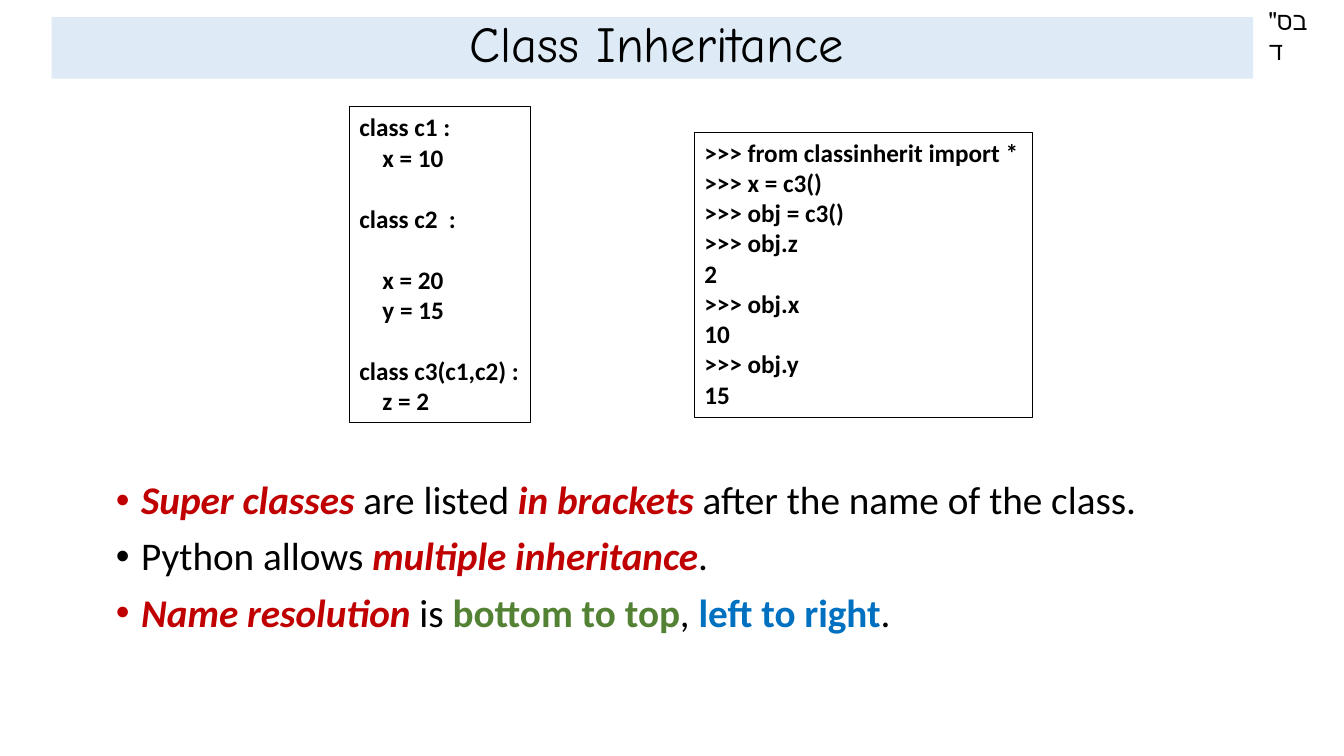
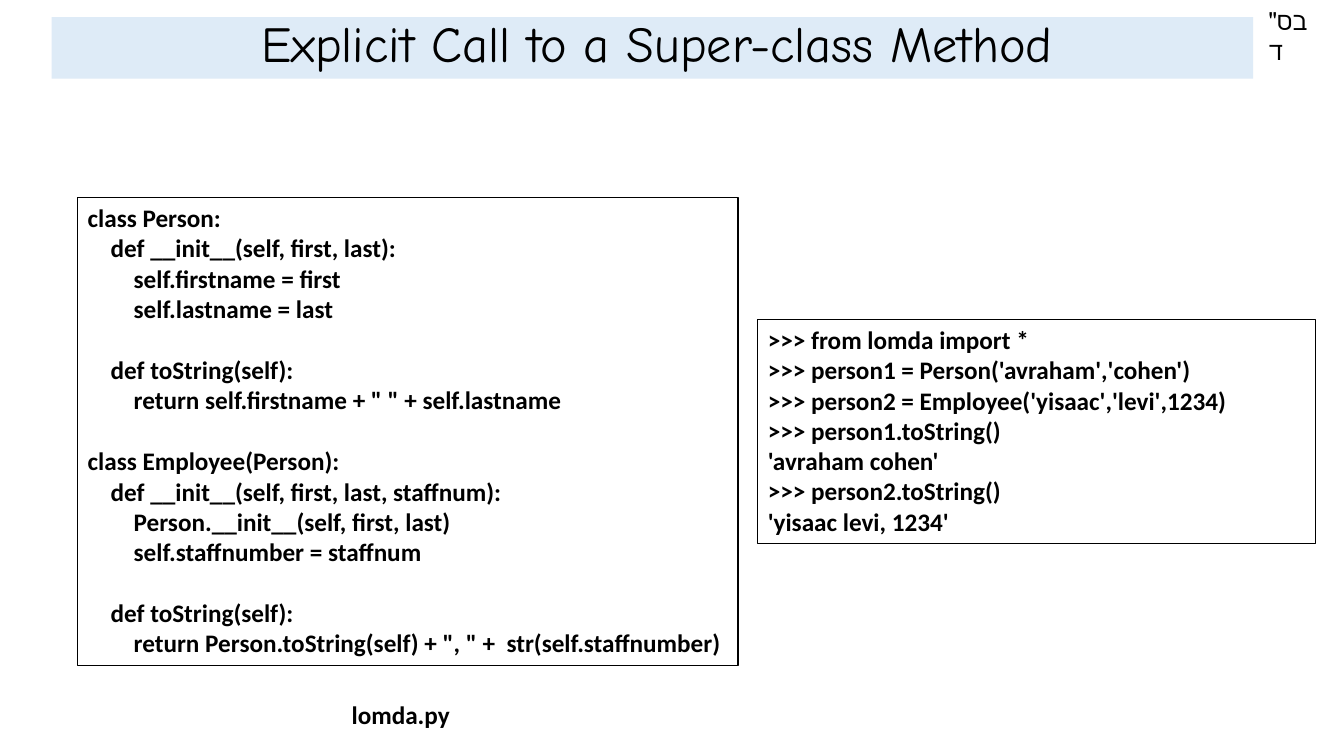
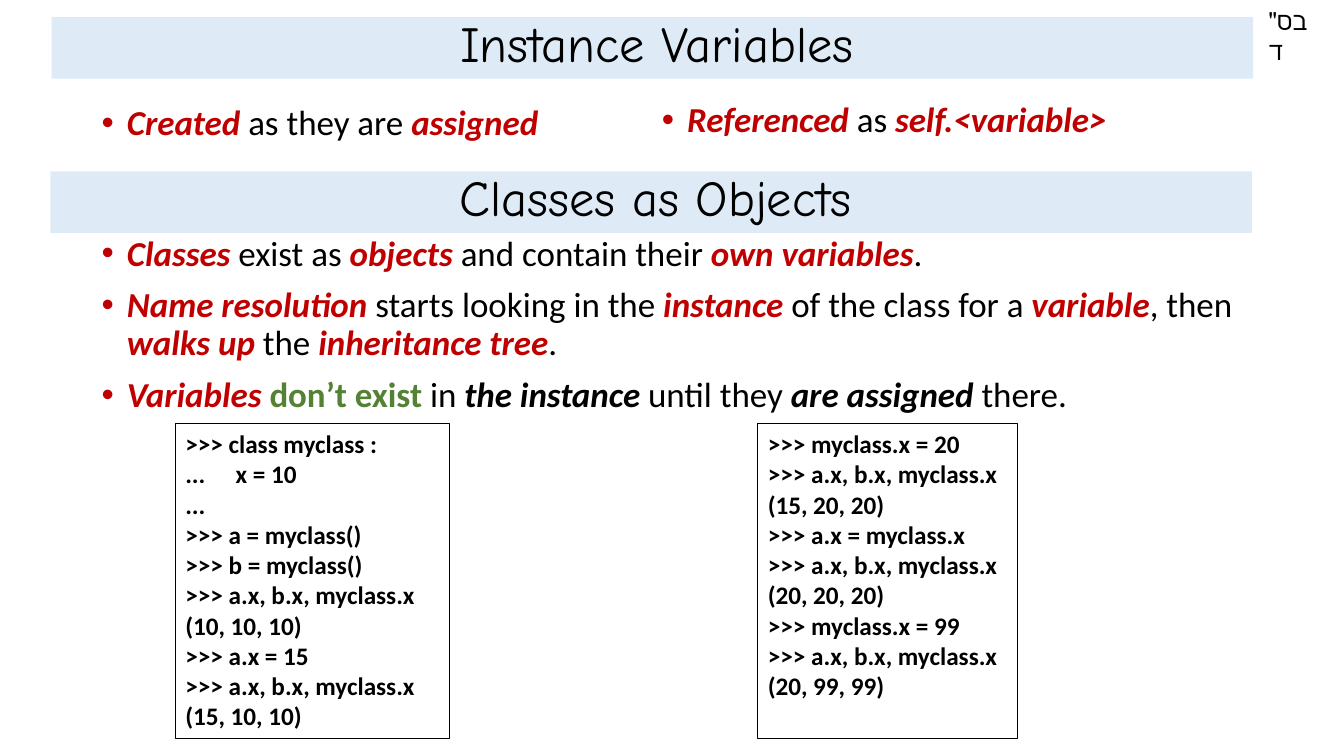
from dataclasses import dataclass
from typing import NamedTuple

from lxml.etree import SubElement
from pptx import Presentation
from pptx.dml.color import RGBColor
from pptx.enum.shapes import MSO_SHAPE
from pptx.enum.text import MSO_ANCHOR, MSO_AUTO_SIZE, PP_ALIGN
from pptx.oxml.ns import qn
from pptx.util import Cm, Pt

BLACK = RGBColor(0x00, 0x00, 0x00)
RED = RGBColor(0xC0, 0x00, 0x00)
GREEN = RGBColor(0x54, 0x82, 0x35)
BLUE = RGBColor(0x00, 0x70, 0xC0)
PALE = RGBColor(0xDE, 0xEB, 0xF7)
BODY = "Calibri"
HEAD = "Comic Neue"
STEP = 0.58
TAB = 1.23
LINE = 22


class Box(NamedTuple):
    """Place and size in centimetres."""
    left: float
    top: float
    width: float
    height: float

    def cm(self) -> list:
        """Return the four lengths."""
        return [Cm(side) for side in self]


class Style(NamedTuple):
    """Look of a run."""
    color: RGBColor = BLACK
    bold: bool = False
    slant: bool = False


PLAIN = Style()
KEY = Style(RED, True, True)
STRONG = Style(BLACK, True, True)
LEAF = Style(GREEN, True)
SKY = Style(BLUE, True)


@dataclass
class Code:
    """Framed listing."""
    box: Box
    text: str


@dataclass
class Points:
    """Bulleted text, one list of runs for each bullet."""
    box: Box
    size: int
    rows: list


@dataclass
class Band:
    """Heading on a pale strip."""
    box: Box
    text: str


@dataclass
class Label:
    """Plain line of text."""
    box: Box
    text: str
    bold: bool = False
    align: PP_ALIGN = PP_ALIGN.LEFT


@dataclass
class Page:
    """Title and blocks of a slide."""
    title: str
    blocks: list


TOP = Box(1.3, 0.43, 30.28, 1.55)
TAG = Label(Box(31.72, 0, 1.78, 1.02), 'בס"ד')

MULTI = """
class c1 :
    x = 10

class c2  :

    x = 20
    y = 15

class c3(c1,c2) :
    z = 2
"""
LOOKUP = """
>>> from classinherit import *
>>> x = c3()
>>> obj = c3()
>>> obj.z
2
>>> obj.x
10
>>> obj.y
15
"""
STAFF = """
class Person:
    def __init__(self, first, last):
        self.firstname = first
        self.lastname = last

    def toString(self):
        return self.firstname + " " + self.lastname

class Employee(Person):
    def __init__(self, first, last, staffnum):
        Person.__init__(self, first, last)
        self.staffnumber = staffnum

    def toString(self):
        return Person.toString(self) + ", " +  str(self.staffnumber)
"""
PEOPLE = """
>>> from lomda import *
>>> person1 = Person('avraham','cohen')
>>> person2 = Employee('yisaac','levi',1234)
>>> person1.toString()
'avraham cohen'
>>> person2.toString()
'yisaac levi, 1234'
"""
FIRST = """
>>> class myclass :
...\tx = 10
...
>>> a = myclass()
>>> b = myclass()
>>> a.x, b.x, myclass.x
(10, 10, 10)
>>> a.x = 15
>>> a.x, b.x, myclass.x
(15, 10, 10)
"""
SECOND = """
>>> myclass.x = 20
>>> a.x, b.x, myclass.x
(15, 20, 20)
>>> a.x = myclass.x
>>> a.x, b.x, myclass.x
(20, 20, 20)
>>> myclass.x = 99
>>> a.x, b.x, myclass.x
(20, 99, 99)
"""

PAGES = [
    Page("Class Inheritance", [
        Points(Box(2.67, 11.99, 27.53, 4.7), 28, [
            [("Super classes ", KEY), ("are listed ", PLAIN),
             ("in brackets ", KEY),
             ("after the name of the class.", PLAIN)],
            [("Python allows ", PLAIN), ("multiple inheritance", KEY),
             (".", PLAIN)],
            [("Name resolution ", KEY), ("is ", PLAIN),
             ("bottom to top", LEAF), (", ", PLAIN),
             ("left to right", SKY), (".", PLAIN)],
        ]),
        Code(Box(17.5, 3.33, 8.51, 7.19), LOOKUP),
        Code(Box(8.81, 2.69, 4.55, 7.95), MULTI),
    ]),
    Page("Explicit Call to a Super-class Method", [
        Code(Box(19.1, 8.05, 14.05, 5.64), PEOPLE),
        Code(Box(1.96, 4.98, 16.64, 11.79), STAFF),
        Label(Box(7.8, 17.5, 4.6, 1.02), "lomda.py", True, PP_ALIGN.CENTER),
    ]),
    Page("Instance Variables", [
        Points(Box(2.31, 2.54, 14.1, 1.55), 25, [
            [("Created", KEY), (" as they are ", PLAIN), ("assigned", KEY)],
        ]),
        Points(Box(16.43, 2.46, 14.1, 1.65), 25, [
            [("Referenced", KEY), (" as ", PLAIN),
             ("self.<variable>", KEY)],
        ]),
        Band(Box(1.27, 4.32, 30.28, 1.55), "Classes as Objects"),
        Points(Box(2.31, 5.82, 29.21, 5.21), 25, [
            [("Classes", KEY), (" exist as ", PLAIN), ("objects", KEY),
             (" and contain their ", PLAIN), ("own variables", KEY),
             (".", PLAIN)],
            [("Name resolution ", KEY), ("starts looking in the ", PLAIN),
             ("instance", KEY), (" of the class for a ", PLAIN),
             ("variable", KEY), (", then ", PLAIN), ("walks up ", KEY),
             ("the ", PLAIN), ("inheritance tree", KEY), (".", PLAIN)],
            [("Variables ", KEY), ("don’t exist ", LEAF), ("in ", PLAIN),
             ("the instance ", STRONG), ("until they ", PLAIN),
             ("are assigned ", STRONG), ("there.", PLAIN)],
        ]),
        Code(Box(4.42, 10.67, 6.91, 7.95), FIRST),
        Code(Box(19.1, 10.67, 6.55, 7.95), SECOND),
    ]),
]


def indent(para, left: float, first: float = 0):
    """Set the margin and first-line indent, and return the properties."""
    props = para._p.get_or_add_pPr()
    props.set("marL", str(Cm(left)))
    props.set("indent", str(Cm(first)))
    return props


def set_font(para, name: str, size: int, bold: bool = False) -> None:
    """Set a black font on a whole paragraph."""
    font = para.font
    font.name, font.size, font.bold = name, Pt(size), bold
    font.color.rgb = BLACK


def add_rows(frame, count: int) -> list:
    """Return the given number of paragraphs of a frame."""
    for _ in range(count - 1):
        frame.add_paragraph()
    return list(frame.paragraphs)


def add_rect(slide, box: Box):
    """Add a rectangle without a shadow."""
    rect = slide.shapes.add_shape(MSO_SHAPE.RECTANGLE, *box.cm())
    rect.shadow.inherit = False
    return rect


def add_text(slide, box: Box):
    """Add a wrapping text box and return its frame."""
    frame = slide.shapes.add_textbox(*box.cm()).text_frame
    frame.word_wrap = True
    return frame


def format_band(shape, text: str) -> None:
    """Fill a strip and write its heading."""
    shape.fill.solid()
    shape.fill.fore_color.rgb = PALE
    shape.line.fill.background()
    frame = shape.text_frame
    frame.text = text
    frame.word_wrap = True
    frame.auto_size = MSO_AUTO_SIZE.NONE
    frame.vertical_anchor = MSO_ANCHOR.MIDDLE
    para = frame.paragraphs[0]
    para.alignment = PP_ALIGN.CENTER
    para.line_spacing = 0.8
    para.space_before = para.space_after = Pt(12)
    indent(para, 0.23)
    set_font(para, HEAD, 36)


def draw_title(slide, text: str) -> None:
    """Move and format the title placeholder."""
    title = slide.shapes.title
    title.left, title.top, title.width, title.height = TOP.cm()
    format_band(title, text)


def draw_band(slide, band: Band) -> None:
    """Draw a further heading strip."""
    format_band(add_rect(slide, band.box), band.text)


def draw_label(slide, label: Label) -> None:
    """Draw a line of text."""
    para = add_text(slide, label.box).paragraphs[0]
    para.text = label.text
    para.alignment = label.align
    set_font(para, BODY, 18, label.bold)


def draw_code(slide, code: Code) -> None:
    """Draw a listing, with indents and gaps as paragraph settings."""
    rect = add_rect(slide, code.box)
    rect.fill.background()
    rect.line.color.rgb = BLACK
    rect.line.width = Pt(0.75)
    frame = rect.text_frame
    frame.word_wrap = True
    frame.margin_right = 0
    frame.vertical_anchor = MSO_ANCHOR.TOP
    lines = code.text.strip().split("\n")
    rows = [(line, i > 0 and not lines[i - 1])
            for i, line in enumerate(lines) if line]
    for para, (line, gap) in zip(add_rows(frame, len(rows)), rows):
        text = line.lstrip(" ")
        para.add_run().text = text
        para.alignment = PP_ALIGN.LEFT
        para.space_before = Pt(LINE if gap else 0)
        props = indent(para, (len(line) - len(text)) // 4 * STEP)
        if "\t" in text:
            tabs = SubElement(props, qn("a:tabLst"))
            SubElement(tabs, qn("a:tab"), pos=str(Cm(TAB)), algn="l")
        set_font(para, BODY, 18, True)


def draw_points(slide, points: Points) -> None:
    """Draw bulleted paragraphs of styled runs."""
    frame = add_text(slide, points.box)
    for para, row in zip(add_rows(frame, len(points.rows)), points.rows):
        para.line_spacing = 0.9
        para.space_before = Pt(10)
        props = indent(para, 0.64, -0.64)
        SubElement(props, qn("a:buFont"), typeface="Arial")
        SubElement(props, qn("a:buChar"), char="•")
        para.font.name, para.font.size = BODY, Pt(points.size)
        for text, style in row:
            run = para.add_run()
            run.text = text
            run.font.color.rgb = style.color
            run.font.bold, run.font.italic = style.bold, style.slant


DRAW = {Code: draw_code, Points: draw_points,
        Band: draw_band, Label: draw_label}


def main() -> None:
    """Build and save the slides."""
    deck = Presentation()
    deck.slide_width, deck.slide_height = Cm(33.87), Cm(19.05)
    for page in PAGES:
        slide = deck.slides.add_slide(deck.slide_layouts[5])
        draw_title(slide, page.title)
        for block in [TAG, *page.blocks]:
            DRAW[type(block)](slide, block)
    deck.save("out.pptx")


if __name__ == "__main__":
    main()
